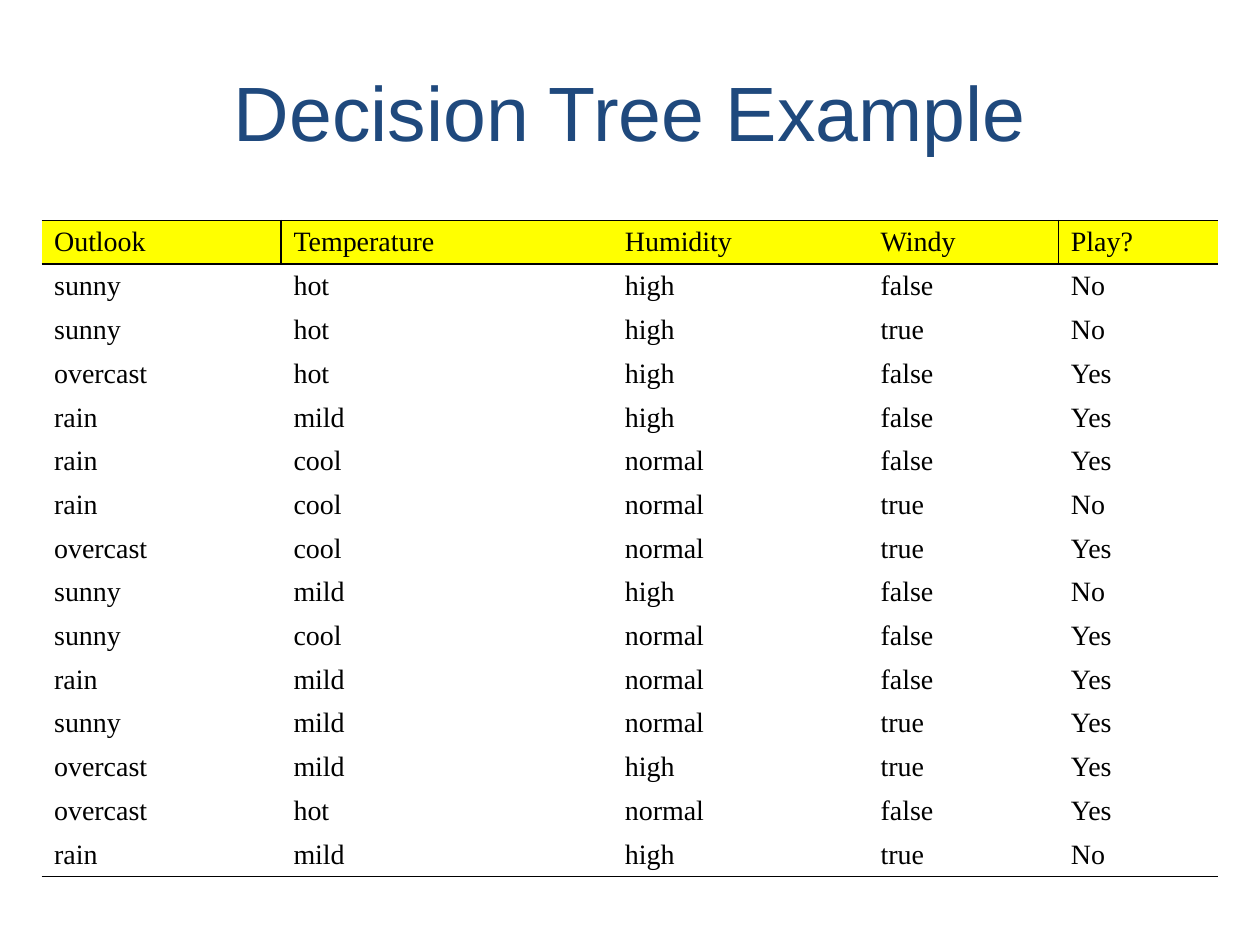
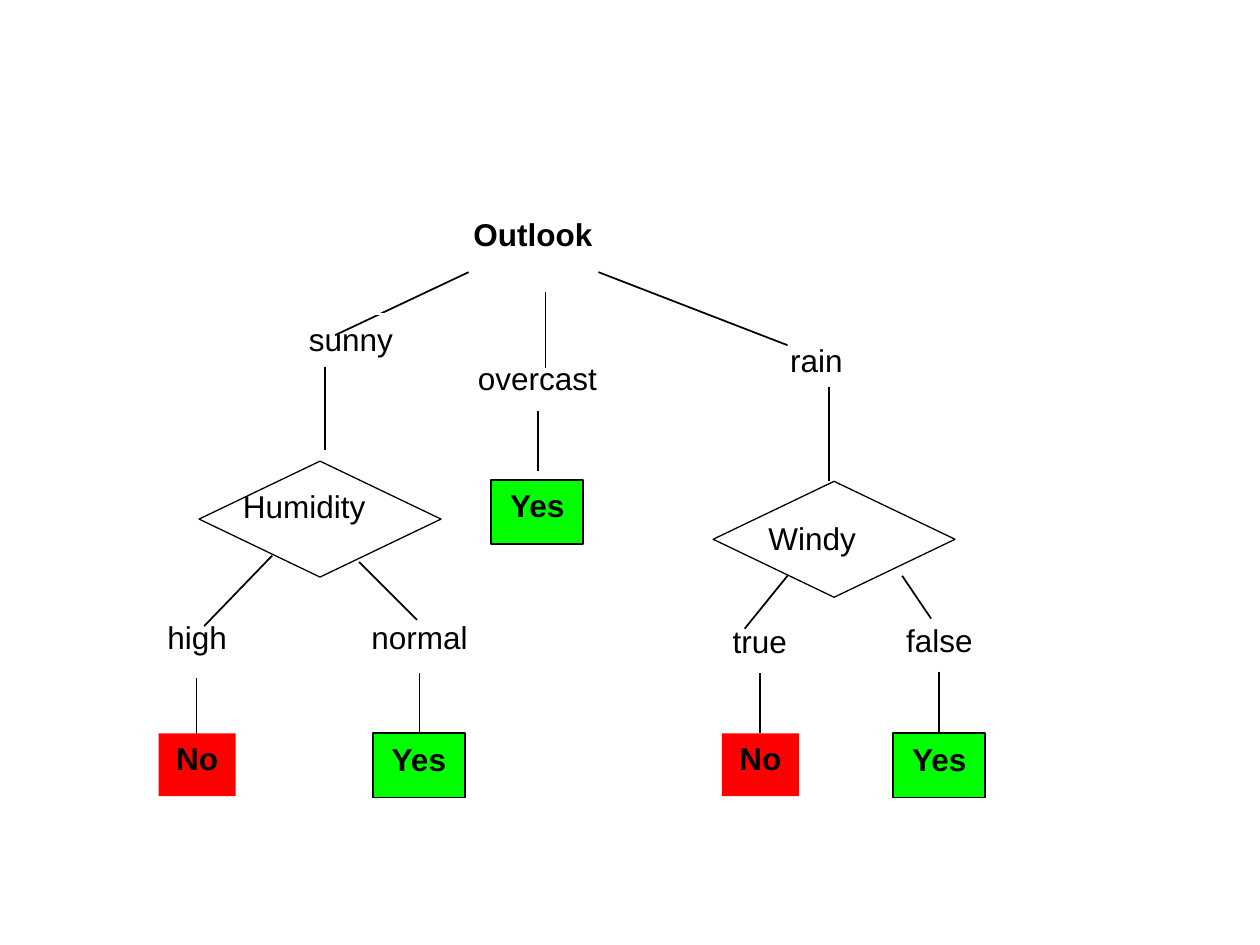
from lxml.etree import SubElement
from pptx import Presentation
from pptx.dml.color import RGBColor
from pptx.enum.shapes import MSO_CONNECTOR, MSO_SHAPE
from pptx.enum.text import MSO_ANCHOR, PP_ALIGN
from pptx.oxml import parse_xml
from pptx.oxml.ns import nsdecls, qn
from pptx.util import Inches, Pt

BLACK, WHITE, NAVY = "000000", "FFFFFF", "1F497D"
YELLOW, RED, GREEN = "FFFF00", "FF0000", "00FF00"
SANS, SERIF = "Arial", "Times New Roman"


def rgb(color):
    return RGBColor.from_string(color)


def add_box(s, kind, x, y, w, h, text="", fill=None, line=None, line_width=1,
            size=18, color=BLACK, bold=False, align=PP_ALIGN.CENTER,
            anchor=MSO_ANCHOR.TOP):
    box = [Inches(v) for v in (x, y, w, h)]
    if kind is None:
        sp = s.shapes.add_textbox(*box)
    else:
        sp = s.shapes.add_shape(kind, *box)
        sp.shadow.inherit = False
        if fill:
            sp.fill.solid()
            sp.fill.fore_color.rgb = rgb(fill)
        else:
            sp.fill.background()
        if line:
            sp.line.color.rgb = rgb(line)
            sp.line.width = Pt(line_width)
        else:
            sp.line.fill.background()
    if text:
        tf = sp.text_frame
        tf.word_wrap = True
        tf.vertical_anchor = anchor
        tf.text = text
        p = tf.paragraphs[0]
        p.alignment = align
        font = p.runs[0].font
        font.name, font.size, font.bold = SANS, Pt(size), bold
        font.color.rgb = rgb(color)


prs = Presentation()
prs.slide_width, prs.slide_height = Inches(10), Inches(7.5)
blank = prs.slide_layouts[6]

s = prs.slides.add_slide(blank)
add_box(s, None, 0.33, 0.25, 9.34, 1.25, "Decision Tree Example",
        size=44, color=NAVY, anchor=MSO_ANCHOR.MIDDLE)

weather = """Outlook Temperature Humidity Windy Play?
sunny hot high false No
sunny hot high true No
overcast hot high false Yes
rain mild high false Yes
rain cool normal false Yes
rain cool normal true No
overcast cool normal true Yes
sunny mild high false No
sunny cool normal false Yes
rain mild normal false Yes
sunny mild normal true Yes
overcast mild high true Yes
overcast hot normal false Yes
rain mild high true No"""
rows = [row.split() for row in weather.splitlines()]
col_widths = [1.9, 2.63, 2.03, 1.51, 1.27]
last = len(rows) - 1

table = s.shapes.add_table(len(rows), len(col_widths), Inches(0.33), Inches(1.75),
                           Inches(9.34), Inches(0.33 * len(rows))).table
table.first_row = table.horz_banding = False
for column, width in zip(table.columns, col_widths):
    column.width = Inches(width)
for i, row in enumerate(rows):
    table.rows[i].height = Inches(0.35 if i == 2 else 0.33)
    for j, value in enumerate(row):
        cell = table.cell(i, j)
        cell.vertical_anchor = MSO_ANCHOR.BOTTOM
        cell.margin_top, cell.margin_bottom = Inches(0.03), Inches(0.05)
        cell.text = value
        font = cell.text_frame.paragraphs[0].runs[0].font
        font.name, font.size = SERIF, Pt(16)
        font.color.rgb = rgb(BLACK)
        if i == 0:
            cell.fill.solid()
            cell.fill.fore_color.rgb = rgb(YELLOW)
        else:
            cell.fill.background()
        borders = {
            "lnL": i == 0 and j in (1, 4),
            "lnR": i == 0 and j in (0, 3),
            "lnT": i in (0, 1),
            "lnB": i in (0, last),
        }
        tcPr = cell._tc.get_or_add_tcPr()
        for k, (side, visible) in enumerate(borders.items()):
            paint = f'<a:solidFill><a:srgbClr val="{BLACK}"/></a:solidFill>' if visible else "<a:noFill/>"
            tcPr.insert(k, parse_xml(f'<a:{side} {nsdecls("a")} w="12700">{paint}</a:{side}>'))

s = prs.slides.add_slide(blank)

add_box(s, MSO_SHAPE.RECTANGLE, 2.28, 2.49, 1.01, 0.51, "sunny", line=WHITE)
sunny_box = s.shapes[0]._element

branches = [
    (3.72, 2.16, 2.66, 2.66, 1),
    (4.33, 2.32, 4.33, 2.92, 1),
    (4.75, 2.16, 6.25, 2.74, 1),
    (2.16, 4.41, 1.62, 4.97, 1),
    (2.85, 4.46, 3.31, 4.92, 1),
    (6.25, 4.57, 5.91, 4.99, 1),
    (7.16, 4.57, 7.39, 4.91, 1),
    (2.58, 2.91, 2.58, 3.57, 0.75),
    (6.58, 3.07, 6.58, 3.82, 0.75),
]
leaf_drops = [(1.56, 5.38), (7.45, 5.33), (6.03, 5.34), (3.33, 5.34), (4.27, 3.26)]
branches += [(x, y, x, y + 0.48, 1) for x, y in leaf_drops]
for x1, y1, x2, y2, width in branches:
    ln = s.shapes.add_connector(MSO_CONNECTOR.STRAIGHT, Inches(x1), Inches(y1),
                                Inches(x2), Inches(y2))
    ln.line.color.rgb = rgb(BLACK)
    ln.line.width = Pt(width)
    SubElement(ln._element.spPr, qn("a:effectLst"))
    if (x1, y1) == branches[0][:2]:
        sunny_box.addprevious(ln._element)

for x, y, w, text in [
    (3.61, 2.8, 1.31, "overcast"),
    (6.12, 2.66, 0.72, "rain"),
    (1.17, 4.86, 0.79, "high"),
    (2.76, 4.86, 1.14, "normal"),
    (5.67, 4.89, 0.72, "true"),
    (7.04, 4.88, 0.83, "false"),
]:
    add_box(s, None, x, y, w, 0.5, text)

for x in (1.26, 5.73):
    add_box(s, MSO_SHAPE.RECTANGLE, x, 5.82, 0.61, 0.5, "No", fill=RED, bold=True)
for x, y in [(2.96, 5.82), (7.09, 5.82), (3.9, 3.81)]:
    add_box(s, MSO_SHAPE.RECTANGLE, x, y, 0.73, 0.51, "Yes", fill=GREEN,
            line=BLACK, bold=True)

for x, y in [(1.58, 3.66), (5.66, 3.82)]:
    add_box(s, MSO_SHAPE.DIAMOND, x, y, 1.92, 0.92, line=BLACK, line_width=0.75)
for x, y, w, text in [
    (3.66, 1.66, 1.37, "Outlook"),
    (1.83, 3.82, 1.48, "Humidity"),
    (6, 4.07, 1.11, "Windy"),
]:
    add_box(s, None, x, y, w, 0.5, text, bold=text == "Outlook", align=PP_ALIGN.LEFT)

prs.save("out.pptx")
